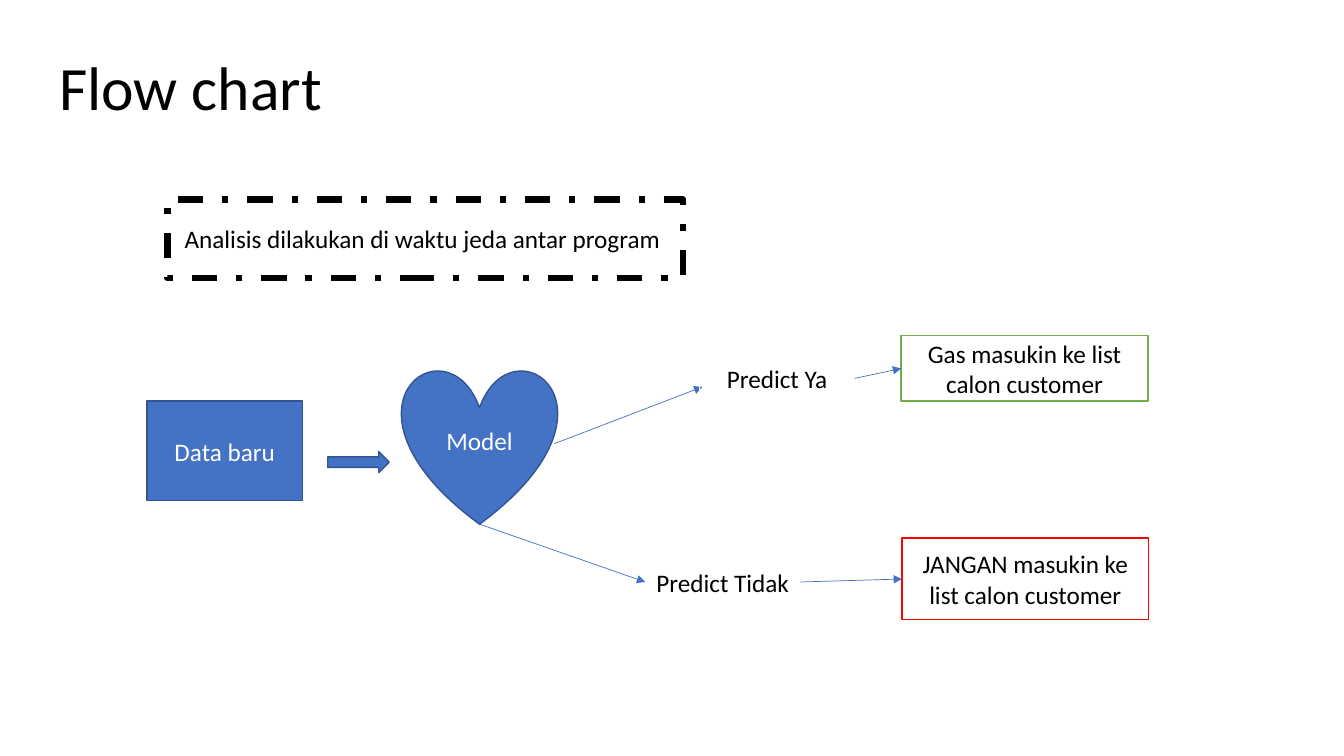
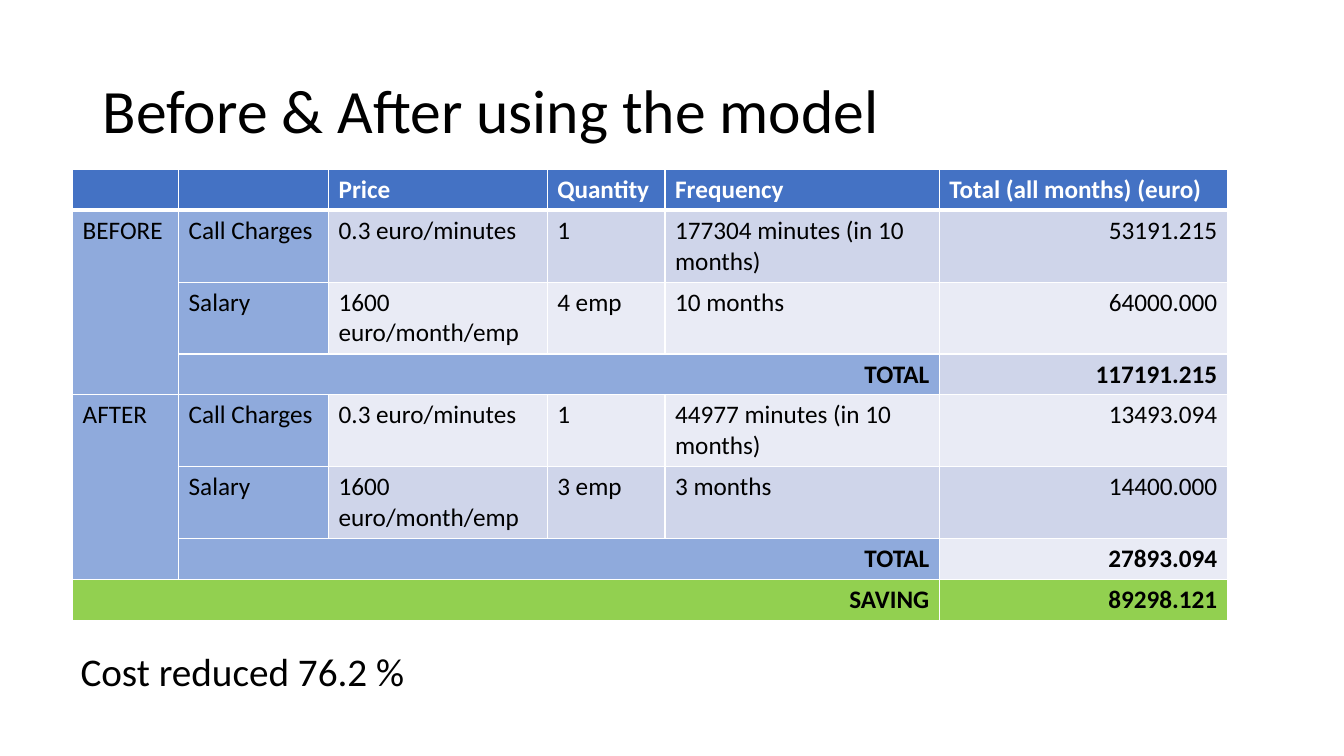
from dataclasses import dataclass
from lxml import etree
from pptx import Presentation
from pptx.dml.color import RGBColor
from pptx.enum.dml import MSO_LINE
from pptx.enum.shapes import MSO_CONNECTOR, MSO_SHAPE
from pptx.enum.text import MSO_ANCHOR, PP_ALIGN
from pptx.oxml.ns import qn
from pptx.util import Cm, Pt

RECT, HEART, ARROW = MSO_SHAPE.RECTANGLE, MSO_SHAPE.HEART, MSO_SHAPE.RIGHT_ARROW
LEFT, MID, RIGHT = PP_ALIGN.LEFT, PP_ALIGN.CENTER, PP_ALIGN.RIGHT
CENTRE, TOP = MSO_ANCHOR.MIDDLE, MSO_ANCHOR.TOP
DASH = MSO_LINE.DASH_DOT
STRAIGHT = MSO_CONNECTOR.STRAIGHT
WEST, EAST = 1, 3  # connection sites of a rectangle
TITLE_ONLY = 5
FONT = "Calibri"
HEX = {
    "blue": "4472C4", "navy": "325491", "sky": "8FAADC", "band": "CFD5EA",
    "pale": "E9EBF5", "lime": "92D050", "green": "70AD47", "red": "FF0000",
    "black": "000000", "white": "FFFFFF",
}


@dataclass
class Box:
    name: str
    text: str
    left: float
    top: float
    width: float
    height: float
    edge: str = "navy"
    fill: str | None = "blue"
    ink: str = "white"
    kind: MSO_SHAPE = RECT
    line: float = 1
    dash: MSO_LINE | None = None


BOXES = [
    Box("data", "Data baru", 3.71, 10.11, 3.91, 2.51),
    Box("model", "Model", 10.13, 9.3, 3.91, 3.91, kind=HEART),
    Box("next", "", 8.26, 11.38, 1.55, 0.53, kind=ARROW),
    Box("yes", "Predict Ya", 17.63, 8.81, 3.91, 1.45, "white", None, "black"),
    Box("no", "Predict Tidak", 16.26, 13.94, 3.91, 1.45, "white", None, "black"),
    Box("add", "Gas masukin ke list calon customer",
        22.71, 8.46, 6.22, 1.65, "green", "white", "black"),
    Box("skip", "JANGAN masukin ke list calon customer",
        22.73, 13.56, 6.22, 2.06, "red", "white", "black"),
    Box("note", "Analisis dilakukan di waktu jeda antar program ",
        4.22, 5.03, 13, 1.98, "black", "white", "black", line=4.5, dash=DASH),
]

COLS = [2.67, 3.78, 5.51, 2.97, 6.91, 7.26]
LOW, HIGH = 1.03, 1.81  # rows of one and two lines
ROWS = [
    ["", "", "Price", "Quantity", "Frequency", "Total (all months) (euro)"],
    ["BEFORE", "Call Charges", "0.3 euro/minutes", "1",
     "177304 minutes (in 10 months)", "53191.215"],
    ["", "Salary", "1600 euro/month/emp", "4 emp", "10 months", "64000.000"],
    ["", "TOTAL", "", "", "", "117191.215"],
    ["AFTER", "Call Charges", "0.3 euro/minutes", "1",
     "44977 minutes (in 10 months)", "13493.094"],
    ["", "Salary", "1600 euro/month/emp", "3 emp", "3 months", "14400.000"],
    ["", "TOTAL", "", "", "", "27893.094"],
    ["SAVING", "", "", "", "", "89298.121"],
]
SPANS = [((1, 0), (3, 0)), ((4, 0), (6, 0)), ((3, 1), (3, 4)),
         ((6, 1), (6, 4)), ((7, 0), (7, 4))]
SUMS = ("TOTAL", "SAVING")


def color(name: str) -> RGBColor:
    return RGBColor.from_string(HEX[name])


def paint(fill, name: str) -> None:
    fill.solid()
    fill.fore_color.rgb = color(name)


def write(frame, text: str, size: float = 18, ink: str = "black",
          bold: bool = False, align: PP_ALIGN = LEFT,
          anchor: MSO_ANCHOR | None = None, space: float | None = None) -> None:
    """Put one formatted paragraph in a text frame."""
    frame.word_wrap = True
    if anchor is not None:
        frame.vertical_anchor = anchor
    para = frame.paragraphs[0]
    para.alignment, para.line_spacing = align, space
    if text:
        run = para.add_run()
        run.text = text
        font = run.font
        font.name, font.size, font.bold = FONT, Pt(size), bold
        font.color.rgb = color(ink)


def start(deck, text: str, left: float, top: float):
    """Add a slide with its title."""
    slide = deck.slides.add_slide(deck.slide_layouts[TITLE_ONLY])
    head = slide.shapes.title
    head.left, head.top, head.width, head.height = (
        Cm(left), Cm(top), Cm(29.21), Cm(3.68))
    write(head.text_frame, text, size=44, anchor=CENTRE, space=0.9)
    return slide


def draw(slide, box: Box):
    shape = slide.shapes.add_shape(
        box.kind, Cm(box.left), Cm(box.top), Cm(box.width), Cm(box.height))
    shape.shadow.inherit = False
    if box.fill:
        paint(shape.fill, box.fill)
    else:
        shape.fill.background()
    shape.line.color.rgb = color(box.edge)
    shape.line.width = Pt(box.line)
    if box.dash is not None:
        shape.line.dash_style = box.dash
    write(shape.text_frame, box.text, ink=box.ink, align=MID, anchor=CENTRE)
    return shape


def link(slide, tail: tuple[float, float] = (0, 0),
         head: tuple[float, float] = (0, 0)):
    """Add a thin arrow."""
    line = slide.shapes.add_connector(
        STRAIGHT, Cm(tail[0]), Cm(tail[1]), Cm(head[0]), Cm(head[1]))
    line.line.color.rgb = color("blue")
    line.line.width = Pt(0.5)
    props = line._element.spPr
    etree.SubElement(props.find(qn("a:ln")), qn("a:tailEnd"), type="triangle")
    etree.SubElement(props, qn("a:effectLst"))
    return line


def frame(cell, row: int) -> None:
    """Give a cell white borders, heavier below the header."""
    props = cell._tc.get_or_add_tcPr()
    heavy = {0: "B", 1: "T"}.get(row)
    for spot, side in enumerate("LRTB"):
        width = Pt(3 if side == heavy else 1)
        edge = etree.Element(qn(f"a:ln{side}"), w=str(width))
        solid = etree.SubElement(edge, qn("a:solidFill"))
        etree.SubElement(solid, qn("a:srgbClr"), val=HEX["white"])
        props.insert(spot, edge)


def shade(row: int, col: int) -> str:
    if row == 0:
        return "blue"
    if row == len(ROWS) - 1:
        return "lime"
    if col < 2 or (ROWS[row][1] in SUMS and col < len(COLS) - 1):
        return "sky"
    return "band" if row % 2 else "pale"


def flow(deck) -> None:
    slide = start(deck, "Flow chart", 1.24, 0.43)
    link(slide, (13.97, 11.18), (17.7, 9.75))
    parts = {box.name: draw(slide, box) for box in BOXES}
    link(slide, (12.09, 13.21)).end_connect(parts["no"], WEST)
    for tail, head in (("yes", "add"), ("no", "skip")):
        line = link(slide)
        line.begin_connect(parts[tail], EAST)
        line.end_connect(parts[head], WEST)


def costs(deck) -> None:
    slide = start(deck, "Before & After using the model", 2.34, 1.02)

    # Cost table
    highs = [HIGH if row[1] in ("Call Charges", "Salary") else LOW for row in ROWS]
    table = slide.shapes.add_table(
        len(ROWS), len(COLS), Cm(1.83), Cm(4.27),
        Cm(sum(COLS)), Cm(sum(highs))).table
    for col, width in zip(table.columns, COLS):
        col.width = Cm(width)
    for row, height in zip(table.rows, highs):
        row.height = Cm(height)
    for first, last in SPANS:
        table.cell(*first).merge(table.cell(*last))
    for r, row in enumerate(ROWS):
        total = any(word in SUMS for word in row)
        for c, text in enumerate(row):
            cell = table.cell(r, c)
            paint(cell.fill, shade(r, c))
            frame(cell, r)
            number = r > 0 and c == len(COLS) - 1
            write(cell.text_frame, text, ink="black" if r else "white",
                  bold=r == 0 or (total and c > 0) or text in SUMS,
                  align=RIGHT if number or text in SUMS else LEFT)
            cell.vertical_anchor = CENTRE if number and r > 5 else TOP

    # Result
    note = slide.shapes.add_textbox(Cm(1.78), Cm(16.31), Cm(29.21), Cm(1.7))
    write(note.text_frame, "Cost reduced 76.2 %", size=28, space=0.9)


def main() -> None:
    deck = Presentation()
    deck.slide_width, deck.slide_height = Cm(33.87), Cm(19.05)
    flow(deck)
    costs(deck)
    deck.save("out.pptx")


if __name__ == "__main__":
    main()
